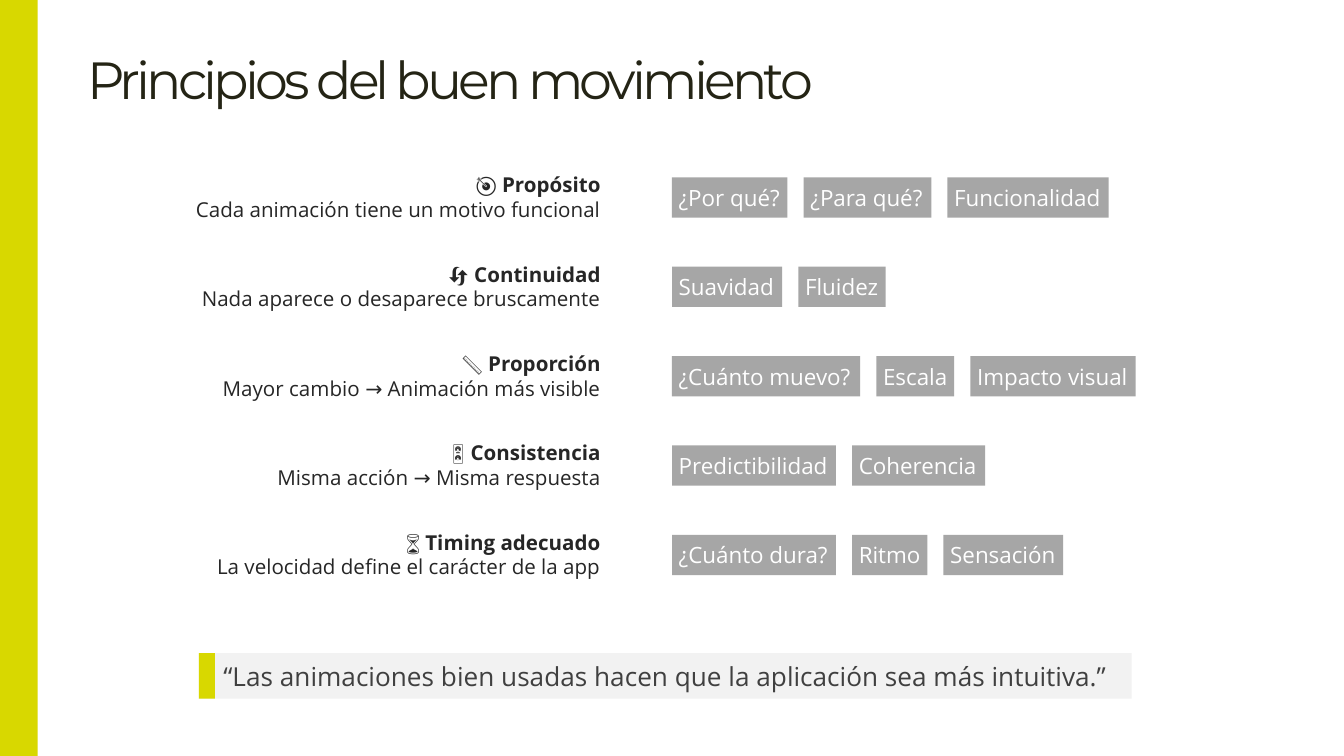
from dataclasses import dataclass

from pptx import Presentation
from pptx.dml.color import RGBColor
from pptx.enum.shapes import MSO_SHAPE as Shape
from pptx.enum.text import MSO_ANCHOR as Anchor, MSO_AUTO_SIZE as AutoSize, PP_ALIGN as Align
from pptx.util import Inches, Pt

COLORS = {
    "accent": "D8D800",
    "title": "242415",
    "label": "262626",
    "tag": "A6A6A6",
    "tag_text": "FFFFFF",
    "quote": "F2F2F2",
    "quote_text": "404040",
}
TITLE_FONT, BODY_FONT = "Montserrat", "Open Sans"

SLIDE_WIDTH = 10
SLIDE_HEIGHT = SLIDE_WIDTH * 9 / 16
LABEL_RIGHT, LABEL_TOP, LABEL_HEIGHT = 4.55, 1.23, 0.47
LAST_LABEL_TOP = 3.89
TAG_LEFT, TAG_OFFSET, TAG_HEIGHT, TAG_GAP = 5, 0.09, 0.3, 0.12
QUOTE_LEFT, QUOTE_TOP, QUOTE_HEIGHT = 1.48, 4.86, 0.34


@dataclass
class Tag:
    text: str
    width: float


@dataclass
class Principle:
    icon: str
    name: str
    description: str
    label_width: float
    tags: list[Tag]


PRINCIPLES = [
    Principle("🎯 ", "Propósito", "Cada animación tiene un motivo funcional", 3.19,
              [Tag("¿Por qué?", 0.86), Tag("¿Para qué?", 0.95), Tag("Funcionalidad", 1.2)]),
    Principle("🔄 ", "Continuidad", "Nada aparece o desaparece bruscamente", 3.15,
              [Tag("Suavidad", 0.82), Tag("Fluidez", 0.65)]),
    Principle("📏 ", "Proporción", "Mayor cambio → Animación más visible", 3.01,
              [Tag("¿Cuánto muevo?", 1.4), Tag("Escala", 0.58), Tag("Impacto visual", 1.23)]),
    Principle("🎛️ ", "Consistencia", "Misma acción → Misma respuesta", 2.61,
              [Tag("Predictibilidad", 1.22), Tag("Coherencia", 0.99)]),
    # The hourglass is as bold as the name, so both form one run.
    Principle("", "⌛ Timing adecuado", "La velocidad define el carácter de la app", 3.03,
              [Tag("¿Cuánto dura?", 1.22), Tag("Ritmo", 0.56), Tag("Sensación", 0.89)]),
]


def style_run(run, size: float, color: str, font: str = BODY_FONT, bold: bool = False) -> None:
    run.font.size = Pt(size)
    run.font.name = font
    run.font.bold = bold
    run.font.color.rgb = RGBColor.from_string(COLORS[color])


def set_frame(frame, side: float, edge: float, anchor: Anchor, wrap: bool) -> None:
    """Set the side and top/bottom insets, the anchor and the wrapping of a text frame."""
    frame.margin_left = frame.margin_right = Inches(side)
    frame.margin_top = frame.margin_bottom = Inches(edge)
    frame.vertical_anchor = anchor
    frame.word_wrap = wrap


def add_block(shapes, left: float, top: float, width: float, height: float, color: str):
    """Add a plain filled rectangle without line or shadow."""
    block = shapes.add_shape(Shape.RECTANGLE, Inches(left), Inches(top),
                             Inches(width), Inches(height))
    block.shadow.inherit = False
    block.fill.solid()
    block.fill.fore_color.rgb = RGBColor.from_string(COLORS[color])
    block.line.fill.background()
    return block


def add_title(shapes, text: str) -> None:
    frame = shapes.add_textbox(Inches(0.65), Inches(0.2), Inches(9.16), Inches(0.62)).text_frame
    set_frame(frame, 0, 0, Anchor.BOTTOM, True)
    frame.text = text
    run = frame.paragraphs[0].runs[0]
    style_run(run, 28, "title", TITLE_FONT)
    run.font._element.set("spc", "-200")


def add_label(shapes, principle: Principle, top: float) -> None:
    left = LABEL_RIGHT - principle.label_width
    frame = shapes.add_textbox(Inches(left), Inches(top), Inches(principle.label_width),
                               Inches(LABEL_HEIGHT)).text_frame
    set_frame(frame, 0.08, 0.05, Anchor.MIDDLE, False)
    frame.auto_size = AutoSize.SHAPE_TO_FIT_TEXT
    heading, description = frame.paragraphs[0], frame.add_paragraph()
    heading.alignment = description.alignment = Align.RIGHT
    parts = [(heading, principle.icon, False), (heading, principle.name, True),
             (description, principle.description, False)]
    for paragraph, text, bold in parts:
        if text:
            run = paragraph.add_run()
            run.text = text
            style_run(run, 11, "label", bold=bold)


def add_tags(shapes, tags: list[Tag], top: float) -> None:
    row = shapes.add_group_shape().shapes
    left = TAG_LEFT
    for tag in tags:
        frame = add_block(row, left, top, tag.width, TAG_HEIGHT, "tag").text_frame
        set_frame(frame, 0.05, 0.05, Anchor.TOP, False)
        frame.auto_size = AutoSize.SHAPE_TO_FIT_TEXT
        frame.text = tag.text
        frame.paragraphs[0].alignment = Align.LEFT
        style_run(frame.paragraphs[0].runs[0], 12, "tag_text")
        left += tag.width + TAG_GAP


def add_quote(shapes, text: str) -> None:
    quote = shapes.add_group_shape().shapes
    frame = add_block(quote, QUOTE_LEFT, QUOTE_TOP, 6.94, QUOTE_HEIGHT, "quote").text_frame
    set_frame(frame, 0.12, 0.05, Anchor.MIDDLE, True)
    frame.auto_size = AutoSize.SHAPE_TO_FIT_TEXT
    frame.text = text
    frame.paragraphs[0].alignment = Align.CENTER
    style_run(frame.paragraphs[0].runs[0], 14, "quote_text")
    add_block(quote, QUOTE_LEFT, QUOTE_TOP, 0.12, QUOTE_HEIGHT, "accent")


def main() -> None:
    deck = Presentation()
    deck.slide_width, deck.slide_height = Inches(SLIDE_WIDTH), Inches(SLIDE_HEIGHT)
    shapes = deck.slides.add_slide(deck.slide_layouts[6]).shapes

    add_title(shapes, "Principios del buen movimiento")
    add_block(shapes, 0, 0, 0.28, SLIDE_HEIGHT, "accent")
    row_pitch = (LAST_LABEL_TOP - LABEL_TOP) / (len(PRINCIPLES) - 1)
    for index, principle in enumerate(PRINCIPLES):
        top = LABEL_TOP + index * row_pitch
        add_label(shapes, principle, top)
        add_tags(shapes, principle.tags, top + TAG_OFFSET)
    add_quote(shapes, "“Las animaciones bien usadas hacen que la aplicación sea más intuitiva.”")

    deck.save("out.pptx")


if __name__ == "__main__":
    main()
